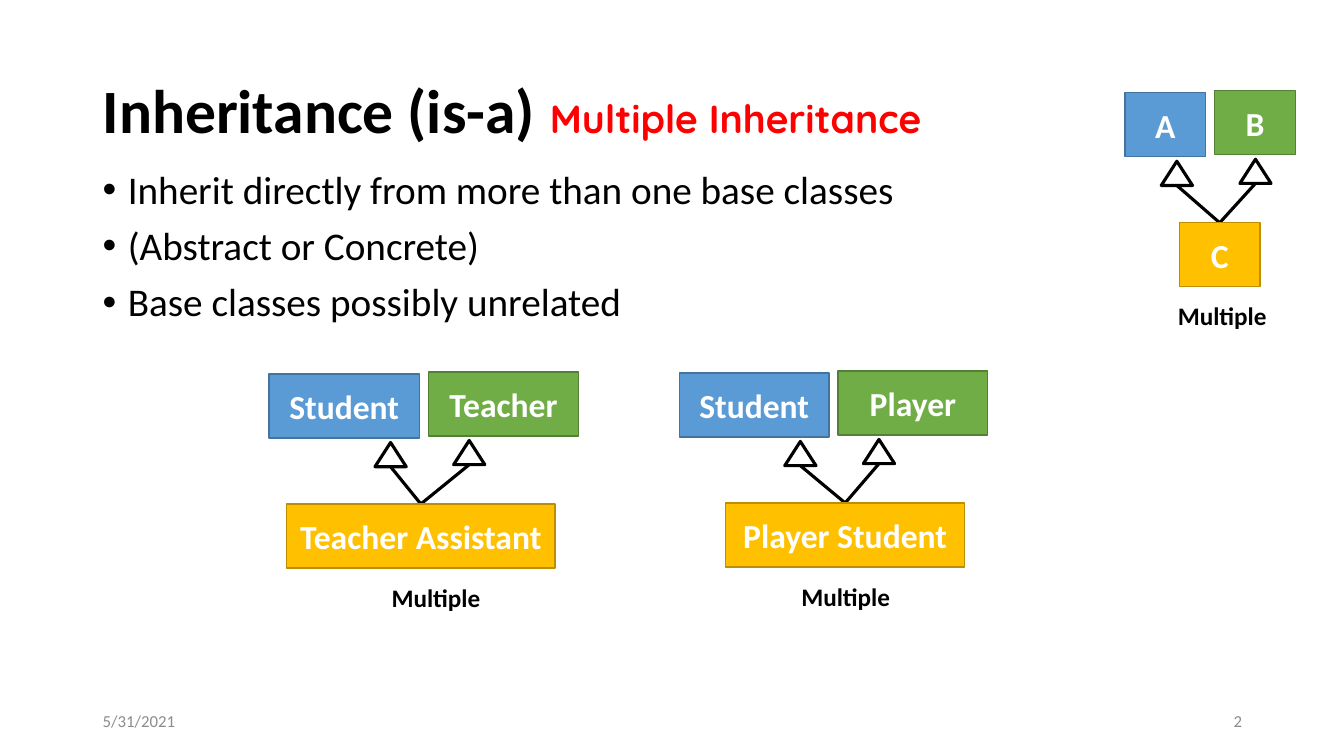
from lxml.etree import SubElement
from pptx import Presentation
from pptx.dml.color import RGBColor
from pptx.enum.shapes import MSO_CONNECTOR, MSO_SHAPE
from pptx.enum.text import MSO_ANCHOR, PP_ALIGN
from pptx.oxml.ns import qn
from pptx.util import Inches, Pt

# Slide grid: square cells, ten to the inch
COLS, ROWS = 133.33, 75
BLUE, GREEN, GOLD = ("5B9BD5", "43739E"), ("70AD47", "538035"), ("FFC000", "BD8E00")
OUTLINE = ("FFFFFF", "000000")
TITLE = dict(size=44, bold=True, color="000000")
SUBTITLE = dict(size=28, bold=True, color="FF0000", name="Quicksand")
BODY = dict(size=28, color="000000")
FOOTER = dict(size=12, color="8C8C8C")
CLASS = dict(size=24, bold=True, color="FFFFFF")
CAPTION = dict(size=18, bold=True, color="000000")


def cells(*values):
    return [Inches(v / 10) for v in values]


def rgb(value):
    return RGBColor.from_string(value)


def add_run(p, text, fmt):
    r = p.add_run()
    r.text = text
    for key, value in {"name": "Calibri", **fmt}.items():
        if key == "color":
            r.font.color.rgb = rgb(value)
        else:
            setattr(r.font, key, Pt(value) if key == "size" else value)


def text_box(shapes, box, runs=(), align=PP_ALIGN.LEFT, anchor=MSO_ANCHOR.MIDDLE, wrap=True):
    tf = shapes.add_textbox(*cells(*box)).text_frame
    tf.word_wrap, tf.vertical_anchor = wrap, anchor
    p = tf.paragraphs[0]
    p.alignment = align
    for text, fmt in runs:
        add_run(p, text, fmt)
    return tf


def add_shape(shapes, kind, box, colors, weight):
    sp = shapes.add_shape(kind, *cells(*box))
    sp.shadow.inherit = False
    sp.fill.solid()
    sp.fill.fore_color.rgb, sp.line.color.rgb = map(rgb, colors)
    sp.line.width = Pt(weight)
    return sp


def class_box(shapes, box, name, colors):
    tf = add_shape(shapes, MSO_SHAPE.RECTANGLE, box, colors, 1).text_frame
    tf.vertical_anchor, tf.word_wrap = MSO_ANCHOR.MIDDLE, True
    p = tf.paragraphs[0]
    p.alignment = PP_ALIGN.CENTER
    add_run(p, name, CLASS)


def add_line(shapes, *ends):
    line = shapes.add_connector(MSO_CONNECTOR.STRAIGHT, *cells(*ends))
    line.line.color.rgb = rgb(OUTLINE[1])
    line.line.width = Pt(2.25)
    SubElement(line._element.spPr, qn("a:effectLst"))


def title(s, box):
    tf = text_box(s.shapes, box, [("Inheritance (is-a) ", TITLE), ("Multiple Inheritance", SUBTITLE)])
    tf.paragraphs[0].line_spacing = 0.9


def bullets(s, box, items):
    tf = text_box(s.shapes, box, anchor=MSO_ANCHOR.TOP)
    for i, item in enumerate(items):
        p = tf.add_paragraph() if i else tf.paragraphs[0]
        p.line_spacing, p.space_before = 0.9, Pt(10 if i else 0)
        pPr = p._p.get_or_add_pPr()
        pPr.set("marL", str(Inches(0.25)))
        pPr.set("indent", str(-Inches(0.25)))
        SubElement(pPr, qn("a:buFont"), typeface="Arial")
        SubElement(pPr, qn("a:buChar"), char="•")
        add_run(p, item, BODY)


def footer(s, box, date, number):
    left, top, width, height = box
    text_box(s.shapes, (left, top, 30, height), [(date, FOOTER)])
    text_box(s.shapes, (left + width - 30, top, 30, height), [(number, FOOTER)], PP_ALIGN.RIGHT)


def inheritance_diagram(s, box, parents, child, child_width, child_shift):
    """Two parent classes side by side, joined to one child below."""
    left, top, width, _ = box
    gap, height, tri_w, tri_h = 0.9, 6.35, 3.1, 2.4
    parent_width = (width - gap) / 2
    middle = left + width / 2
    child_x, child_y = middle + child_shift, top + 13.1
    shapes = s.shapes.add_group_shape().shapes

    # Parents, with arrowheads and lines up from the child
    for i, (name, colors, drop, arrow) in enumerate(
            zip(parents, (BLUE, GREEN), (0.2, 0), (-3.3, 4.5))):
        x, y = left + i * (parent_width + gap), top + drop
        class_box(shapes, (x, y, parent_width, height), name, colors)
        tip_x, tip_y = middle + arrow, y + 6.8
        add_line(shapes, child_x, child_y, tip_x, tip_y + tri_h)
        add_shape(shapes, MSO_SHAPE.ISOSCELES_TRIANGLE,
                  (tip_x - tri_w / 2, tip_y, tri_w, tri_h), OUTLINE, 2.25)

    # Child and caption
    class_box(shapes, (child_x - child_width / 2, child_y, child_width, height), child, GOLD)
    text_box(shapes, (middle - 4.25, top + 20.35, 10.9, 4), [("Multiple", CAPTION)],
             PP_ALIGN.CENTER, MSO_ANCHOR.TOP, wrap=False)


def main():
    prs = Presentation()
    prs.slide_width, prs.slide_height = cells(COLS, ROWS)
    s = prs.slides.add_slide(prs.slide_layouts[6])
    bullets(s, (9.2, 16.4, 108.7, 47.6), [
        "Inherit directly from more than one base classes",
        "(Abstract or Concrete)",
        "Base classes possibly unrelated"])
    footer(s, (9.2, 69.5, 115, 4), "5/31/2021", "2")
    title(s, (9.2, 4, 115, 14.5))
    inheritance_diagram(s, (111.6, 9, 16.9, 24.4), ("A", "B"), "C", 8, 0.95)
    inheritance_diagram(s, (26.7, 36.9, 30.7, 24.4), ("Student", "Teacher"),
                        "Teacher Assistant", 26.6, -0.3)
    inheritance_diagram(s, (67.4, 36.8, 30.6, 24.4), ("Student", "Player"),
                        "Player Student", 23.7, 1.15)
    prs.save("out.pptx")


if __name__ == "__main__":
    main()
